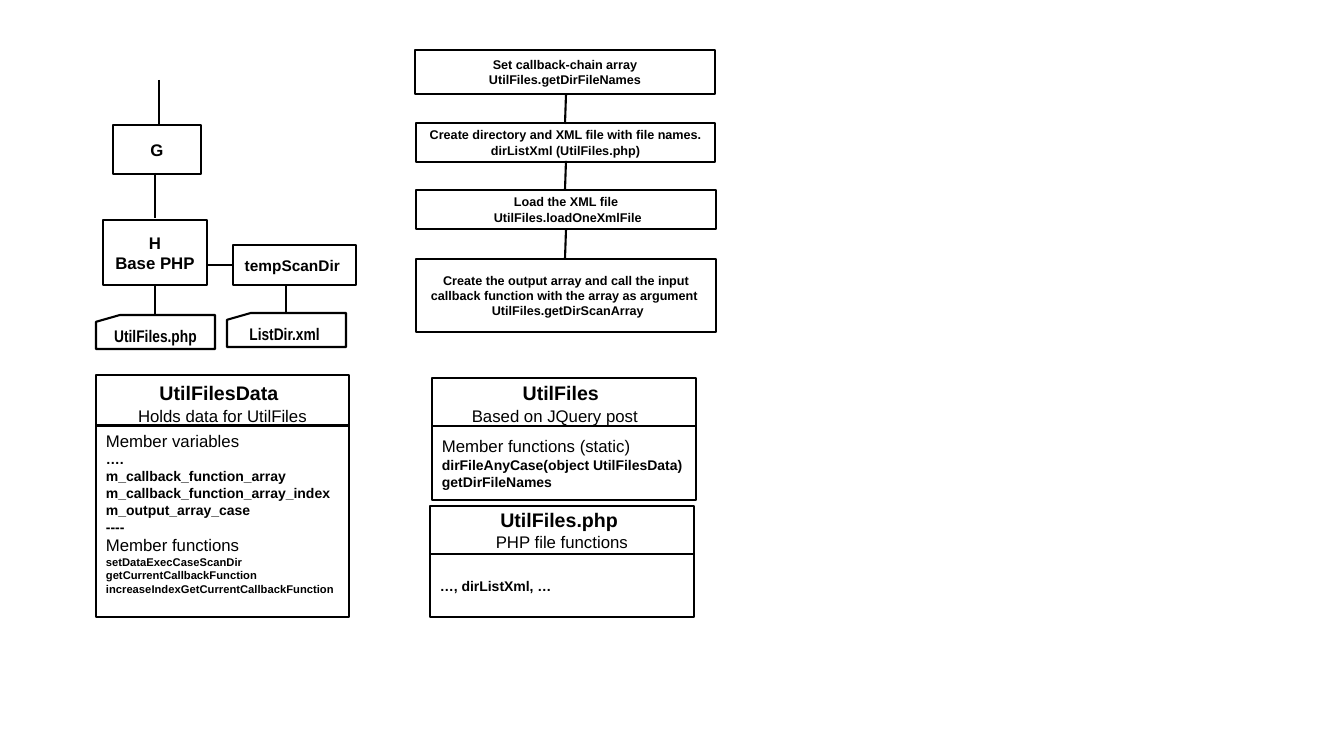
from pptx import Presentation
from pptx.dml.color import RGBColor as RGB
from pptx.enum.shapes import MSO_CONNECTOR as LINK, MSO_SHAPE as SHAPE
from pptx.enum.text import MSO_ANCHOR as ANCHOR, PP_ALIGN as ALIGN
from pptx.oxml.ns import qn
from pptx.oxml.xmlchemy import OxmlElement as Node
from pptx.util import Emu, Pt

INK = {"black": "000000"}
black = RGB.from_string(INK["black"])


def px(n):
    return Emu(round(n * 914400 / 100.8))


def box(spot, rows, align=ALIGN.CENTER, kind=SHAPE.RECTANGLE, face="Arial"):
    shape = deck.add_shape(kind, *map(px, spot))
    shape.shadow.inherit = False
    shape.fill.background()
    shape.line.color.rgb = black
    shape.line.width = Pt(1.5)
    frame = shape.text_frame
    frame.word_wrap = True
    frame.vertical_anchor = ANCHOR.MIDDLE
    frame.text = "\n".join(row[0] for row in rows)
    for para, (text, size, bold, *gap) in zip(frame.paragraphs, rows):
        para.alignment = align
        styles = [(size, bold)]
        if gap:
            para.add_run().text = " "
            styles.append((gap[0], False))
        for run, (high, heavy) in zip(para.runs, styles):
            run.font.name = face
            run.font.size = Pt(high)
            run.font.bold = heavy
            run.font.color.rgb = black
    return frame


show = Presentation()
show.slide_width, show.slide_height = px(1344), px(756)
deck = show.slides.add_slide(show.slide_layouts[6]).shapes

chain = [
    ((415, 50, 300, 44), ["Set callback-chain array", "UtilFiles.getDirFileNames"]),
    ((416, 123, 299, 39), ["Create directory and XML file with file names.",
                           "dirListXml (UtilFiles.php)"]),
    ((416, 190, 300, 39), ["Load the XML file", " UtilFiles.loadOneXmlFile"]),
    ((416, 259, 300, 73), ["Create the output array and call the input "
                           "callback function with the array as argument ",
                           " UtilFiles.getDirScanArray"]),
]
for spot, lines in chain:
    box(spot, [(line, 9, True) for line in lines])

tree = [
    ((113, 125, 88, 49), ["G"], 12),
    ((103, 220, 104, 65), ["H", "Base PHP"], 12),
    ((233, 245, 123, 40), ["tempScanDir "], 11),
]
for spot, lines, size in tree:
    box(spot, [(line, size, True) for line in lines])

files = [((96, 315, 119, 34), "UtilFiles.php"), ((227, 313, 119, 34), "ListDir.xml ")]
for spot, name in files:
    box(spot, [(name, 12, True)], kind=SHAPE.FLOWCHART_CARD, face="Arial Narrow")

links = [
    (566, 95, 565, 124), (566, 161, 565, 190), (566, 230, 565, 259),
    (159, 80, 159, 125), (155, 173, 155, 218), (155, 286, 155, 315),
    (286, 285, 286, 313), (207, 265, 233, 265),
]
for ends in links:
    link = deck.add_connector(LINK.STRAIGHT, *map(px, ends))
    link.line.color.rgb = black
    link.line.width = Pt(1.5)
    link._element.find(qn("p:spPr")).append(Node("a:effectLst"))

box((96, 375, 253, 51), [("UtilFilesData", 14, True, 18),
                         ("Holds data for UtilFiles", 12, False)])
data = box((96, 425, 253, 192), [
    ("Member variables", 12, False),
    ("….", 10, True),
    ("m_callback_function_array", 10, True),
    ("m_callback_function_array_index", 10, True),
    ("m_output_array_case", 10, True),
    ("----", 10, True),
    ("Member functions", 12, False),
    ("setDataExecCaseScanDir", 8, True),
    ("getCurrentCallbackFunction", 8, True),
    ("increaseIndexGetCurrentCallbackFunction", 8, True),
], ALIGN.LEFT)
data.margin_bottom = px(21)

head = box((432, 378, 264, 48), [("UtilFiles", 14, True, 16),
                                 ("Based on JQuery post", 12, False)])
head.margin_right = px(28)
head.paragraphs[0]._p.get_or_add_pPr().set("marL", str(px(18)))
box((432, 426, 264, 74), [
    ("Member functions (static)", 12, False),
    ("dirFileAnyCase(object UtilFilesData)", 10, True),
    ("getDirFileNames", 10, True),
], ALIGN.LEFT)

box((430, 506, 264, 48), [("UtilFiles.php ", 14, True),
                          ("PHP file functions", 12, False)])
box((430, 554, 264, 63), [("…, dirListXml, …", 10, True)], ALIGN.LEFT)

show.save("out.pptx")
